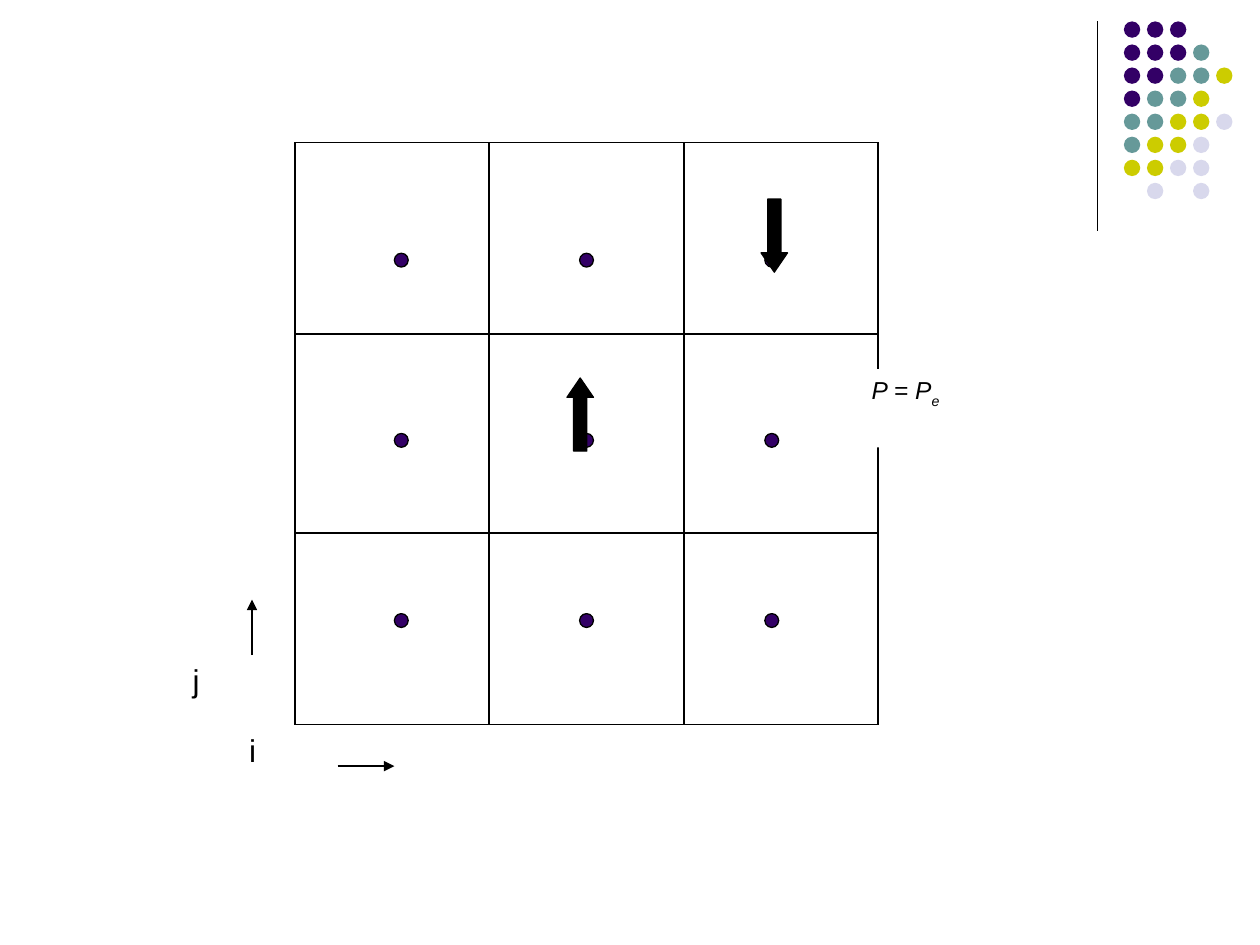
"""Build the slide with a three by three flow grid and its i and j axes."""
from lxml import etree
from pptx import Presentation
from pptx.dml.color import RGBColor
from pptx.enum.shapes import MSO_CONNECTOR, MSO_SHAPE
from pptx.enum.text import MSO_ANCHOR, PP_ALIGN
from pptx.oxml.ns import qn
from pptx.util import Inches, Pt

RECT, OVAL, ARROW = MSO_SHAPE.RECTANGLE, MSO_SHAPE.OVAL, MSO_SHAPE.UP_ARROW
LINE = MSO_CONNECTOR.STRAIGHT
TOP, LEFT = MSO_ANCHOR.TOP, PP_ALIGN.LEFT
BLACK, WHITE, PLUM = "000000", "FFFFFF", "330066"
TONES = {"p": PLUM, "t": "669999", "y": "CCCC00", "l": "D8D8EC"}
DOTS = ["ppp", "pppt", "pptty", "ptty", "ttyyl", "tyyl", "yyll", " l l"]
COLS = [2.34, 3.88, 5.43, 6.97]
ROWS = [1.13, 1.89, 2.65, 3.47, 4.23, 4.99, 5.75]


def ink(code):
    return RGBColor.from_string(code)


def draw(kind, box, fill, edge=None):
    shape = slide.shapes.add_shape(kind, *map(Inches, box))
    shape.shadow.inherit = False
    shape.fill.solid()
    shape.fill.fore_color.rgb = ink(fill)
    if edge:
        shape.line.color.rgb = ink(edge)
        shape.line.width = Pt(0.75)
    else:
        shape.line.fill.background()
    return shape


deck = Presentation()
deck.slide_width, deck.slide_height = Inches(10), Inches(7.5)
slide = deck.slides.add_slide(deck.slide_layouts[6])
slide.background.fill.solid()
slide.background.fill.fore_color.rgb = ink(WHITE)

for row, marks in enumerate(DOTS):
    for col, mark in enumerate(marks):
        if mark in TONES:
            spot = (8.92 + col * 0.183, 0.17 + row * 0.183, 0.13, 0.13)
            draw(OVAL, spot, TONES[mark])

for top, base in zip(ROWS, ROWS[1:]):
    for left, right in zip(COLS, COLS[1:]):
        draw(RECT, (left, top, right - left, base - top), WHITE)

lines = [(8.71, 0.17, 8.71, 1.83, 0.75, False)]
lines += [(COLS[0], y, COLS[-1], y, 1, False) for y in (1.13, 2.65, 4.23, 5.75)]
lines += [(x, ROWS[0], x, ROWS[-1], 1, False) for x in COLS]
lines += [(2.68, 6.08, 3.13, 6.08, 0.75, True), (2, 5.2, 2, 4.76, 0.75, True)]
for *ends, width, head in lines:
    link = slide.shapes.add_connector(LINE, *map(Inches, ends))
    link.line.color.rgb = ink(BLACK)
    link.line.width = Pt(width)
    if head:
        tip = etree.SubElement(link.line._get_or_add_ln(), qn("a:tailEnd"))
        tip.set("type", "triangle")
    etree.SubElement(link._element.spPr, qn("a:effectLst"))

for y in (2.01, 3.44, 4.87):
    for x in (3.13, 4.6, 6.07):
        draw(OVAL, (x, y, 0.11, 0.11), PLUM, BLACK)

labels = [
    ((1.88, 5.75, 1.13, 0.93), ["i"], 18, False),
    ((1.43, 5.2, 1.24, 0.93), ["j"], 18, False),
    ((6.82, 2.93, 1.43, 0.62), ["P = P", "e"], 14, True),
]
for box, words, size, slant in labels:
    if slant:
        label = draw(RECT, box, WHITE)
    else:
        label = slide.shapes.add_textbox(*map(Inches, box))
    frame = label.text_frame
    frame.word_wrap = True
    frame.vertical_anchor = TOP
    para = frame.paragraphs[0]
    para.alignment = LEFT
    style = {"name": "Arial", "size": Pt(size), "italic": slant}
    for place, word in enumerate(words):
        run = para.add_run()
        run.text = word
        for key, value in style.items():
            setattr(run.font, key, value)
        run.font.color.rgb = ink(BLACK)
        if place:
            run.font._element.set("baseline", "-25000")

for x, y, turn in ((4.5, 3, 0), (6.04, 1.58, 180)):
    arrow = draw(ARROW, (x, y, 0.21, 0.58), BLACK, BLACK)
    arrow.adjustments[0] = 0.5
    arrow.adjustments[1] = 0.73
    arrow.rotation = turn

deck.save("out.pptx")
